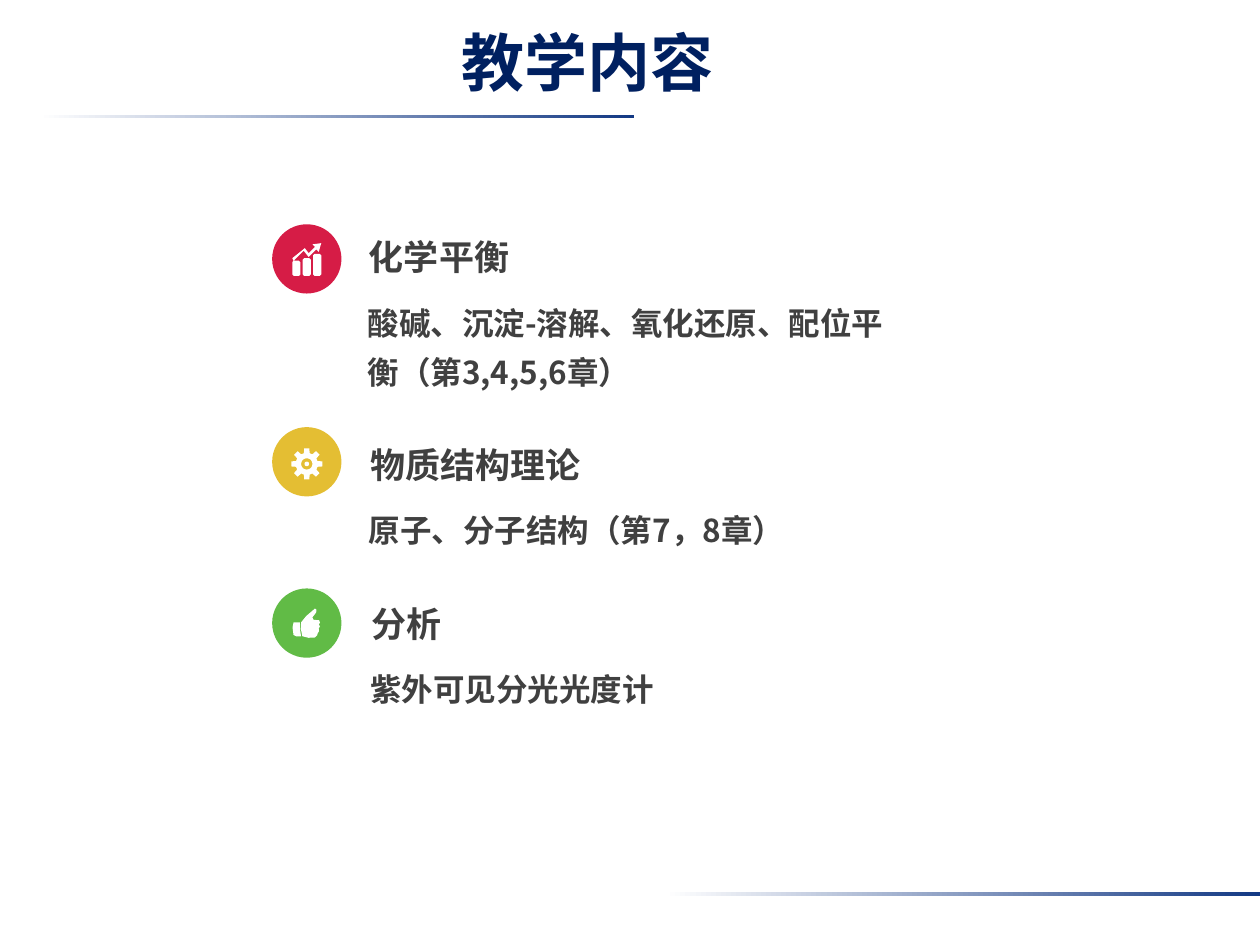
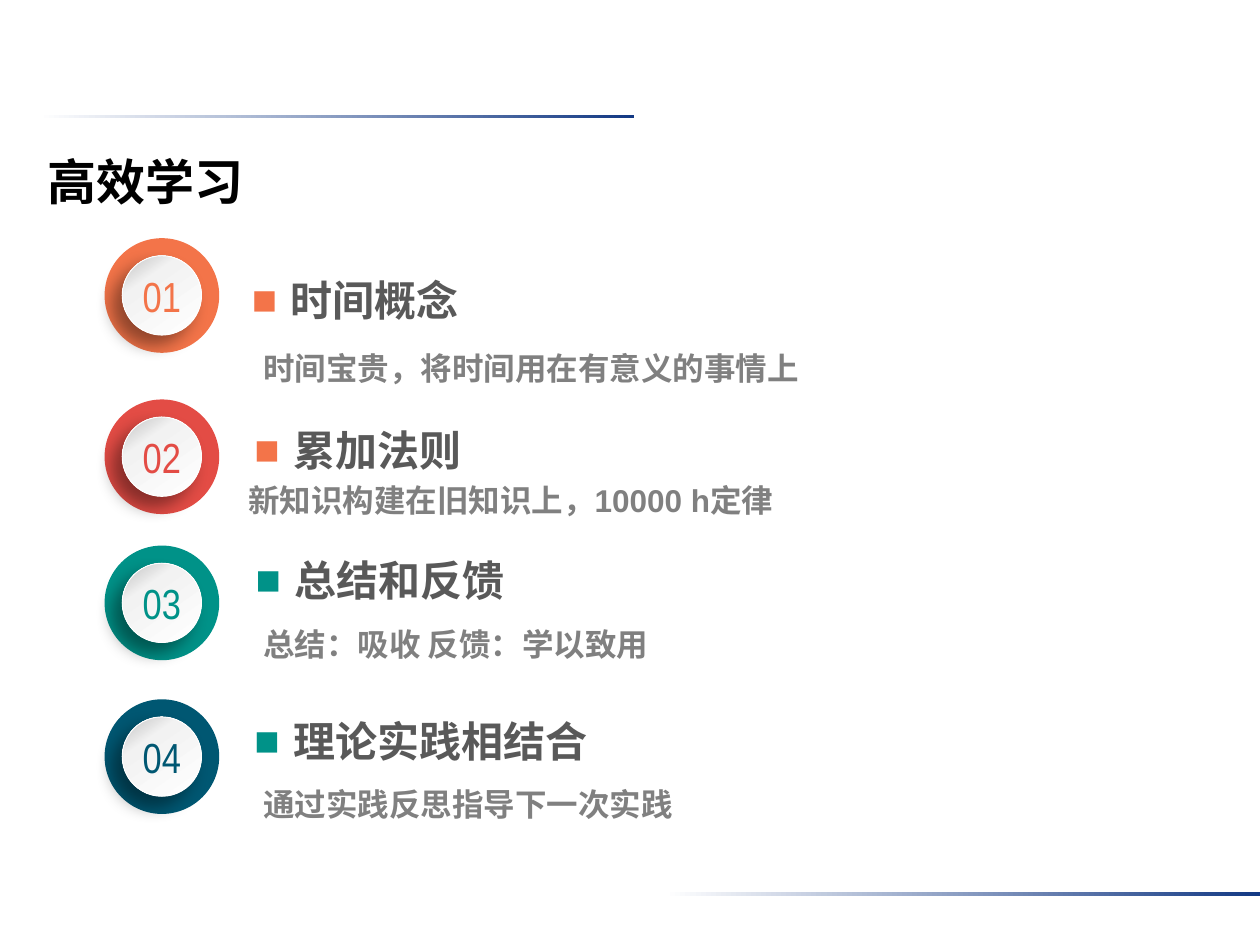
from copy import deepcopy
from math import cos, radians, sin

from lxml.etree import SubElement
from pptx import Presentation
from pptx.dml.color import RGBColor
from pptx.enum.shapes import MSO_SHAPE
from pptx.enum.text import MSO_ANCHOR, MSO_AUTO_SIZE, PP_ALIGN
from pptx.oxml.ns import qn
from pptx.util import Inches, Pt

NAVY, BAND, WHITE, BLACK = "002060", "133984", "FFFFFF", "000000"
DARK, MID, GREY = "404040", "595959", "808080"
ORANGE, RED, TEAL, BLUE = "F37449", "E34C45", "009288", "005772"
CJK = "Noto Sans CJK SC"


def color(value):
    return RGBColor.from_string(value)


def blend(shape, stops, angle=0):
    """Fill with a gradient of (position, colour) stops."""
    shape.fill.gradient()
    shape.fill.gradient_angle = angle
    first = shape._element.spPr.find(".//" + qn("a:gs"))
    for _ in stops[2:]:
        first.addnext(deepcopy(first))
    for stop, (place, tone) in zip(shape.fill.gradient_stops, stops):
        stop.position = place
        stop.color.rgb = color(tone)


def add_shape(shapes, kind, left, top, width, height, fill=None):
    shape = shapes.add_shape(kind, Inches(left), Inches(top), Inches(width), Inches(height))
    shape.shadow.inherit = False
    shape.line.fill.background()
    if fill:
        shape.fill.solid()
        shape.fill.fore_color.rgb = color(fill)
    return shape


def write(frame, text, size, tone, font, bold=True):
    frame.text = text
    para = frame.paragraphs[0]
    for run in para.runs:
        run.font.size, run.font.bold, run.font.name = Pt(size), bold, font
        run.font.color.rgb = color(tone)
        SubElement(run._r.get_or_add_rPr(), qn("a:ea"), typeface=CJK)
    return para


def add_text(slide, box, text, size, tone, font=CJK, wrap=True, space=None):
    shape = slide.shapes.add_textbox(*map(Inches, box))
    frame = shape.text_frame
    frame.word_wrap = wrap
    frame.auto_size = MSO_AUTO_SIZE.SHAPE_TO_FIT_TEXT
    para = write(frame, text, size, tone, font)
    if space:
        para.line_spacing = space
    return frame


def add_bands(slide):
    for left, top in ((0.31, 0.91), (5.28, 7.08)):
        band = add_shape(slide.shapes, MSO_SHAPE.RECTANGLE, left, top, 4.72, 0.03)
        blend(band, [(0, WHITE), (1, BAND)])


def ring(mid, radius, count=24):
    turns = [radians(360 * i / count) for i in range(count)]
    return [(mid[0] + radius * cos(a), mid[1] + radius * sin(a)) for a in turns]


def bar(left, top, right, low=410, cut=12):
    """Outline of a bar with clipped corners."""
    return [(left + cut, top), (right - cut, top), (right, top + cut), (right, low - cut),
            (right - cut, low), (left + cut, low), (left, low - cut), (left, top + cut)]


def chart_icon():
    arrow = [(250, 210), (290, 260), (350, 200), (370, 220), (390, 150), (320, 160),
             (340, 180), (290, 230), (260, 190), (160, 270), (170, 290)]
    return [arrow, bar(160, 290, 225), bar(242, 270, 308), bar(325, 235, 390)]


def gear_icon():
    mid = (275, 292)
    teeth = []
    for turn in range(0, 360, 45):
        for radius, shift in ((88, -15), (125, -9), (125, 9), (88, 15)):
            angle = radians(turn + shift)
            teeth.append((mid[0] + radius * cos(angle), mid[1] + radius * sin(angle)))
    return [teeth, ring(mid, 45), ring(mid, 18)]


def thumb_icon():
    cuff = [(220, 270), (170, 270), (162, 310), (170, 370), (190, 380), (230, 380), (222, 330)]
    hand = [(380, 300), (370, 290), (380, 270), (372, 252), (330, 250), (320, 230),
            (350, 190), (352, 168), (340, 160), (270, 220), (230, 270), (228, 320),
            (240, 380), (290, 392), (340, 390), (360, 370), (360, 360), (372, 340),
            (370, 320)]
    return [cuff, hand]


def add_badge(slide, left, top, tone, outlines):
    """Disc with a white icon drawn in thousandths of an inch."""
    shapes = slide.shapes.add_group_shape().shapes
    add_shape(shapes, MSO_SHAPE.OVAL, left, top, 0.55, 0.55, tone)
    pen = shapes.build_freeform(*outlines[0][0], scale=Inches(1) / 1000)
    pen.add_line_segments(outlines[0][1:])
    for outline in outlines[1:]:
        pen.move_to(*outline[0])
        pen.add_line_segments(outline[1:])
    icon = pen.convert_to_shape(Inches(left), Inches(top))
    icon.shadow.inherit = False
    icon.fill.solid()
    icon.fill.fore_color.rgb = color(WHITE)
    icon.line.fill.background()


def add_topic(slide, top, tone, icon, label, detail, left, head, width, height):
    add_badge(slide, 2.16, top, tone, icon)
    add_text(slide, (left, head, width, 0.44), label, 20, DARK, wrap=False)
    add_text(slide, (left - 0.01, head + 0.45, 4.37, height), detail, 18, DARK, space=1.3)


def content_slide(slide):
    add_bands(slide)
    title = add_text(slide, (3.55, 0.13, 2.22, 0.71), "教学内容", 36, NAVY, wrap=False)
    title.vertical_anchor = MSO_ANCHOR.MIDDLE
    title.paragraphs[0].alignment = PP_ALIGN.CENTER
    topics = [
        (1.78, "D61C46", chart_icon(), "化学平衡",
         "酸碱、沉淀-溶解、氧化还原、配位平衡（第3,4,5,6章）", 2.83, 1.82, 1.33, 0.85),
        (3.39, "E4BE33", gear_icon(), "物质结构理论",
         "原子、分子结构（第7，8章）", 2.84, 3.47, 1.89, 0.46),
        (4.67, "61BB46", thumb_icon(), "分析",
         "紫外可见分光光度计", 2.85, 4.73, 0.77, 0.46),
    ]
    for topic in topics:
        add_topic(slide, *topic)


def add_dial(slide, left, top, tone, label):
    """Coloured ring around a shaded, numbered disc."""
    shapes = slide.shapes.add_group_shape().shapes
    add_shape(shapes, MSO_SHAPE.OVAL, left, top, 0.91, 0.91, tone)
    disc = add_shape(shapes, MSO_SHAPE.OVAL, left + 0.14, top + 0.14, 0.63, 0.63)
    blend(disc, [(0, WHITE), (0.7, "F2F2F2"), (1, "BFBFBF")], 125)
    disc.line.color.rgb = color(WHITE)
    disc.line.width = Pt(0.5)
    effects = disc._element.spPr.find(qn("a:effectLst"))
    shade = SubElement(effects, qn("a:outerShdw"), blurRad=str(Pt(10)), dist=str(Pt(8)),
                       dir=str(135 * 60000), algn="tr", rotWithShape="0")
    ink = SubElement(shade, qn("a:srgbClr"), val=BLACK)
    SubElement(ink, qn("a:alpha"), val="40000")
    frame = disc.text_frame
    frame.margin_left = frame.margin_right = 0
    frame.word_wrap = False
    frame.vertical_anchor = MSO_ANCHOR.MIDDLE
    write(frame, label, 24, tone, "Arial Narrow", False).alignment = PP_ALIGN.CENTER


def add_head(slide, left, top, width, text, mark):
    """Heading with a coloured square bullet."""
    frame = add_text(slide, (left, top, width, 0.16), text, 24, MID, "Arial", space=1.2)
    frame.auto_size = MSO_AUTO_SIZE.NONE
    frame.margin_left = frame.margin_right = Inches(0.15)
    frame.margin_top = frame.margin_bottom = 0
    props = frame.paragraphs[0]._p.get_or_add_pPr()
    props.set("marL", str(Inches(0.31)))
    props.set("indent", str(-Inches(0.31)))
    tint = SubElement(props, qn("a:buClr"))
    SubElement(tint, qn("a:srgbClr"), val=mark)
    SubElement(props, qn("a:buFont"), typeface="Arial")
    SubElement(props, qn("a:buChar"), char="■")


def study_slide(slide):
    add_bands(slide)
    add_text(slide, (0.28, 1.15, 1.78, 0.57), "高效学习", 28, BLACK, "Arial", wrap=False)
    steps = [
        (1.89, ORANGE, ORANGE, (1.85, 2.1, 3.17), "时间概念",
         (1.99, 2.57, 4.82, 0.56), "时间宝贵，将时间用在有意义的事情上"),
        (3.17, RED, ORANGE, (1.87, 3.29, 2.3), "累加法则",
         (1.87, 3.62, 4.51, 0.56), "新知识构建在旧知识上，10000 h定律"),
        (4.33, TEAL, TEAL, (1.88, 4.32, 2.7), "总结和反馈",
         (1.99, 4.76, 3.72, 0.5), "总结：吸收 反馈：学以致用"),
        (5.55, BLUE, TEAL, (1.87, 5.6, 3.33), "理论实践相结合",
         (1.99, 6.03, 3.48, 0.56), "通过实践反思指导下一次实践"),
    ]
    for number, (top, tone, mark, head, label, box, detail) in enumerate(steps, 1):
        add_dial(slide, 0.83, top, tone, f"{number:02}")
        add_head(slide, *head, label, mark)
        add_text(slide, box, detail, 18, GREY, "Arial", space=1.5)


def main():
    deck = Presentation()
    deck.slide_width, deck.slide_height = Inches(10), Inches(7.5)
    for build in (content_slide, study_slide):
        build(deck.slides.add_slide(deck.slide_layouts[6]))
    deck.save("out.pptx")


if __name__ == "__main__":
    main()
